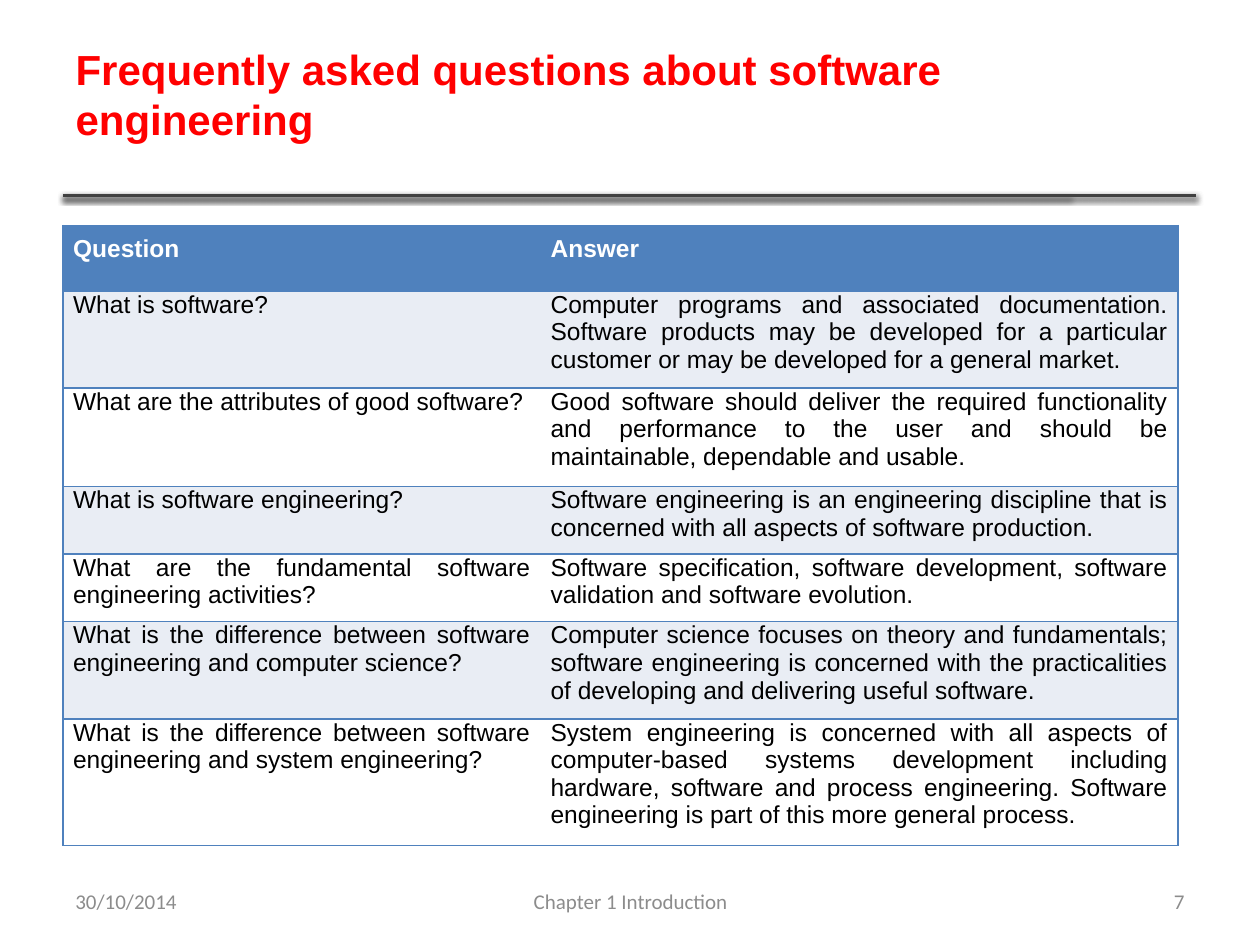
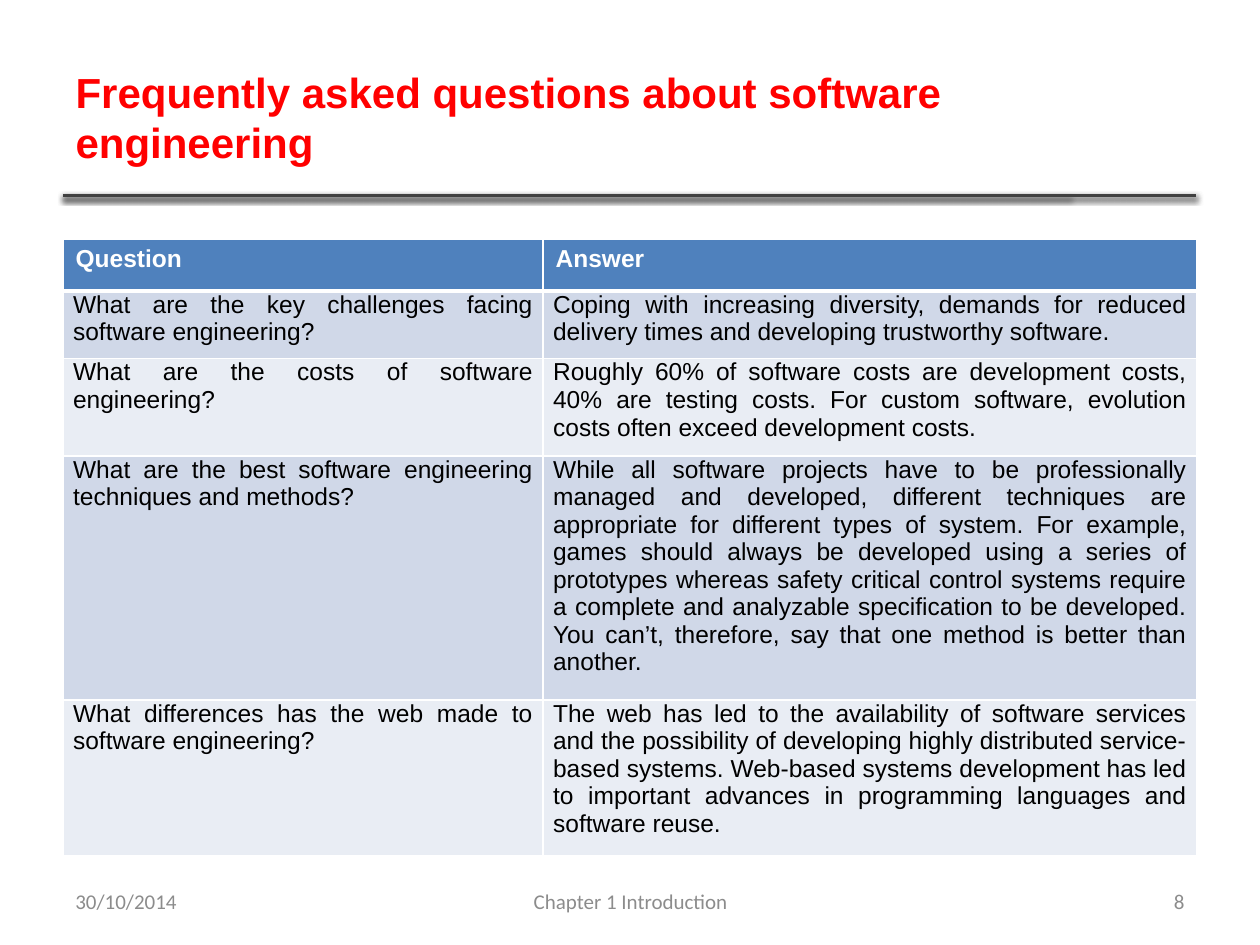
import copy

import pptx
import pptx.dml.color
import pptx.enum.shapes
import pptx.enum.text
import pptx.oxml
import pptx.oxml.ns
import pptx.util
from pptx.util import Inches

ALIGN = pptx.enum.text.PP_ALIGN
MIDDLE = pptx.enum.text.MSO_ANCHOR.MIDDLE
NS = pptx.oxml.ns.nsdecls("a")
TITLE = "Frequently asked questions about software engineering"

RED, WHITE, BLACK = "FF0000", "FFFFFF", "000000"
RULE, GREY = "404040", "8C8C8C"
BLUE, MID_BLUE, PALE_BLUE = "4F81BD", "D0D8E8", "E9EDF4"


def rgb(color):
    """Turn a hex string into a colour."""
    return pptx.dml.color.RGBColor.from_string(color)


def write(tf, text, size=14, color=BLACK, bold=False, font="Arial", align=ALIGN.LEFT):
    """Write one formatted paragraph into a text frame and return it."""
    p = tf.paragraphs[0]
    p.alignment = align
    r = p.add_run()
    r.text = text
    r.font.size = pptx.util.Pt(size)
    r.font.color.rgb = rgb(color)
    r.font.bold = bold
    r.font.name = font
    return p


def set_margins(target, left, top, right, bottom):
    """Set the four inner margins of a cell, in inches."""
    target.margin_left, target.margin_top = Inches(left), Inches(top)
    target.margin_right, target.margin_bottom = Inches(right), Inches(bottom)


def border(cell, **sides):
    """Set cell borders from L, R, T, B pairs of colour and points; None hides one."""
    tcPr = cell._tc.get_or_add_tcPr()
    for side in "LRTB":
        if side not in sides:
            continue
        if sides[side]:
            color, width = sides[side]
            fill = f'<a:solidFill><a:srgbClr val="{color}"/></a:solidFill>'
        else:
            width, fill = 0, "<a:noFill/>"
        tcPr.append(pptx.oxml.parse_xml(
            f'<a:ln{side} {NS} w="{pptx.util.Pt(width)}">{fill}</a:ln{side}>'))


class Deck:
    """The shared style and the current slide."""

    def __init__(self):
        """Start an empty 10 by 7.5 inch presentation."""
        self.prs = pptx.Presentation()
        self.prs.slide_width, self.prs.slide_height = Inches(10), Inches(7.5)

    def new_slide(self, number, title_width, title_height, trailing_break=False):
        """Add a slide with its rule, title and footer."""
        self.s = self.prs.slides.add_slide(self.prs.slide_layouts[5])
        for end in (8.49, 9.49, 9.49):
            self.rule(0.5, 1.55, end)
        self.title(title_width, title_height, trailing_break)
        self.footer("Chapter 1 Introduction", 3.42, 3.17, ALIGN.CENTER)
        self.footer("30/10/2014", 0.5, 2.33, ALIGN.LEFT)
        self.footer(str(number), 7.17, 2.33, ALIGN.RIGHT)

    def rule(self, left, top, right):
        """Draw a horizontal rule with a soft shadow."""
        line = self.s.shapes.add_connector(
            pptx.enum.shapes.MSO_CONNECTOR.STRAIGHT,
            Inches(left), Inches(top), Inches(right), Inches(top))
        line.line.color.rgb = rgb(RULE)
        line.line.width = pptx.util.Pt(2)
        line._element.spPr.append(pptx.oxml.parse_xml(
            f'<a:effectLst {NS}><a:outerShdw blurRad="40000" dist="20000" '
            'dir="5400000" rotWithShape="0"><a:srgbClr val="000000">'
            '<a:alpha val="38000"/></a:srgbClr></a:outerShdw></a:effectLst>'))

    def title(self, width, height, trailing_break):
        """Place and format the title, with a line break after it if asked."""
        sp = self.s.shapes.title
        sp.left, sp.top = Inches(0.5), Inches(0.3)
        sp.width, sp.height = Inches(width), Inches(height)
        tf = sp.text_frame
        tf.auto_size = pptx.enum.text.MSO_AUTO_SIZE.NONE
        tf.word_wrap = True
        tf.vertical_anchor = MIDDLE
        p = write(tf, TITLE, size=24, color=RED, bold=True)
        if trailing_break:
            style = p.runs[0]._r.rPr
            p.add_line_break()
            p._p[-1].append(copy.deepcopy(style))
            end = copy.deepcopy(style)
            end.tag = pptx.oxml.ns.qn("a:endParaRPr")
            p._p.append(end)

    def footer(self, text, left, width, align):
        """Add one part of the footer line."""
        sp = self.s.shapes.add_textbox(
            Inches(left), Inches(6.95), Inches(width), Inches(0.4))
        tf = sp.text_frame
        tf.word_wrap = True
        tf.vertical_anchor = MIDDLE
        write(tf, text, size=12, color=GREY, font="Calibri", align=align)

    def table(self, rows, top, widths, heights, bands, frame, head_margins, head_align):
        """Add a question table; frame(row, column) gives the borders of a cell."""
        shape = self.s.shapes.add_table(
            len(rows) + 1, 2, Inches(0.5), Inches(top),
            Inches(sum(widths)), Inches(sum(heights)))
        table = shape.table
        table.horz_banding = False
        for column, width in zip(table.columns, widths):
            column.width = Inches(width)
        for row, height in zip(table.rows, heights):
            row.height = Inches(height)
        for i, row in enumerate([("Question", "Answer")] + rows):
            for j, text in enumerate(row):
                cell = table.cell(i, j)
                border(cell, **frame(i, j))
                cell.fill.solid()
                if i == 0:
                    cell.fill.fore_color.rgb = rgb(BLUE)
                    set_margins(cell, *head_margins)
                    write(cell.text_frame, text, color=WHITE, bold=True, align=head_align)
                else:
                    cell.fill.fore_color.rgb = rgb(bands[(i - 1) % 2])
                    set_margins(cell, 0.08, 0, 0.08, 0.07)
                    write(cell.text_frame, text, align=ALIGN.JUSTIFY)


def blue_frame(row, column):
    """Blue outline and row lines, with no line between the columns."""
    blue = (BLUE, 1)
    return {"L": None if column else blue, "R": blue if column else None,
            "T": blue, "B": blue}


def white_grid(row, column):
    """White grid with a thick line under the header."""
    white, thick = (WHITE, 1), (WHITE, 3)
    return {"L": white, "R": white, "T": thick if row == 1 else white,
            "B": thick if row == 0 else white}


BASIC_QUESTIONS = [
    ("What is software?",
     "Computer programs and associated documentation. Software products may be "
     "developed for a particular customer or may be developed for a general market."),
    ("What are the attributes of good software?",
     "Good software should deliver the required functionality and performance to "
     "the user and should be maintainable, dependable and usable."),
    ("What is software engineering?",
     "Software engineering is an engineering discipline that is concerned with all "
     "aspects of software production."),
    ("What are the fundamental software engineering activities?",
     "Software specification, software development, software validation and "
     "software evolution."),
    ("What is the difference between software engineering and computer science?",
     "Computer science focuses on theory and fundamentals; software engineering is "
     "concerned with the practicalities of developing and delivering useful software."),
    ("What is the difference between software engineering and system engineering?",
     "System engineering is concerned with all aspects of computer-based systems "
     "development including hardware, software and process engineering. Software "
     "engineering is part of this more general process."),
]

PRACTICE_QUESTIONS = [
    ("What are the key challenges facing software engineering?",
     "Coping with increasing diversity, demands for reduced delivery times and "
     "developing trustworthy software."),
    ("What are the costs of software engineering?",
     "Roughly 60% of software costs are development costs, 40% are testing costs. "
     "For custom software, evolution costs often exceed development costs."),
    ("What are the best software engineering techniques and methods?",
     "While all software projects have to be professionally managed and developed, "
     "different techniques are appropriate for different types of system. For "
     "example, games should always be developed using a series of prototypes whereas "
     "safety critical control systems require a complete and analyzable specification "
     "to be developed. You can\u2019t, therefore, say that one method is better than "
     "another."),
    ("What differences has the web made to software engineering?",
     "The web has led to the availability of software services and the possibility "
     "of developing highly distributed service-based systems. Web-based systems "
     "development has led to important advances in programming languages and "
     "software reuse."),
]

deck = Deck()

deck.new_slide(7, 8.41, 1.29, trailing_break=True)
deck.table(BASIC_QUESTIONS, 1.79, (3.79, 5.06),
           (0.52, 0.73, 0.78, 0.52, 0.52, 0.73, 0.95),
           (PALE_BLUE, WHITE), blue_frame, (0.08, 0.08, 0.08, 0.08), ALIGN.JUSTIFY)

deck.new_slide(8, 7.98, 1.25)
deck.table(PRACTICE_QUESTIONS, 1.9, (3.81, 5.19),
           (0.41, 0.51, 0.73, 1.82, 1.16),
           (MID_BLUE, PALE_BLUE), white_grid, (0.1, 0.05, 0.1, 0.05), ALIGN.LEFT)

deck.prs.save("out.pptx")
